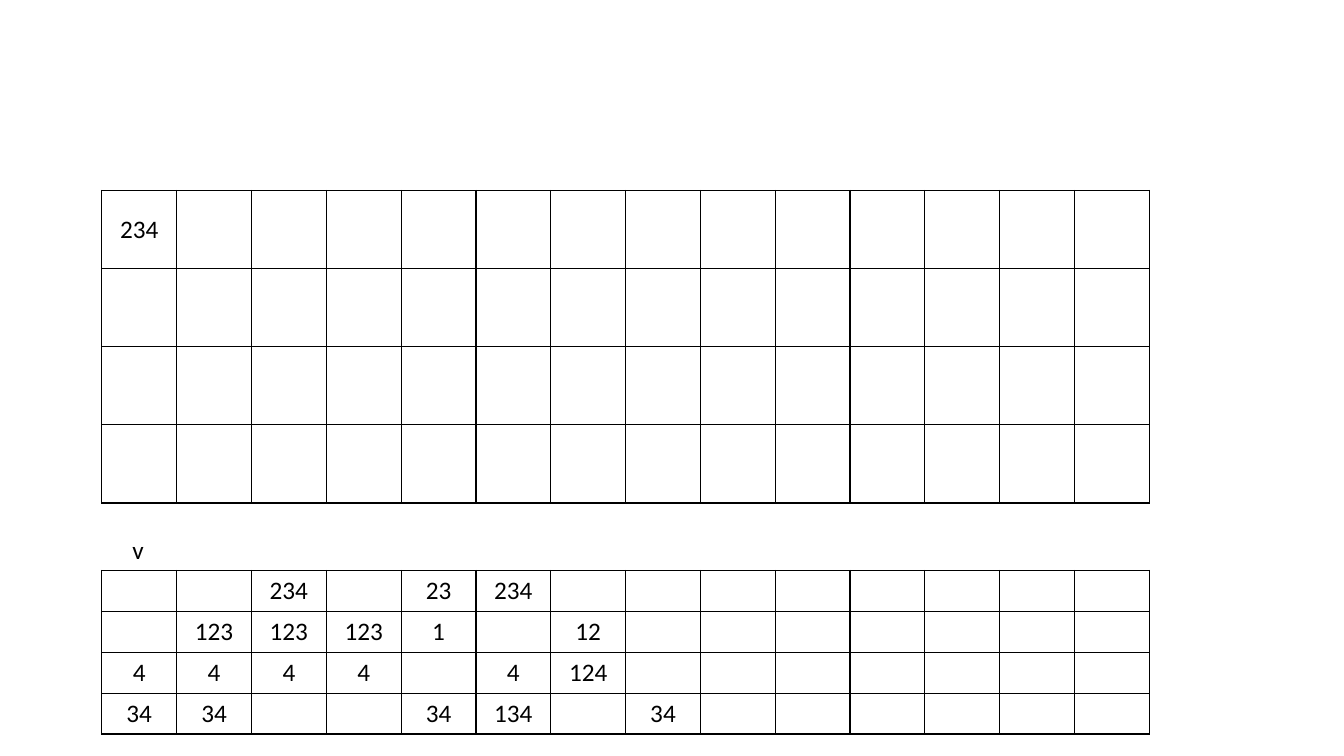
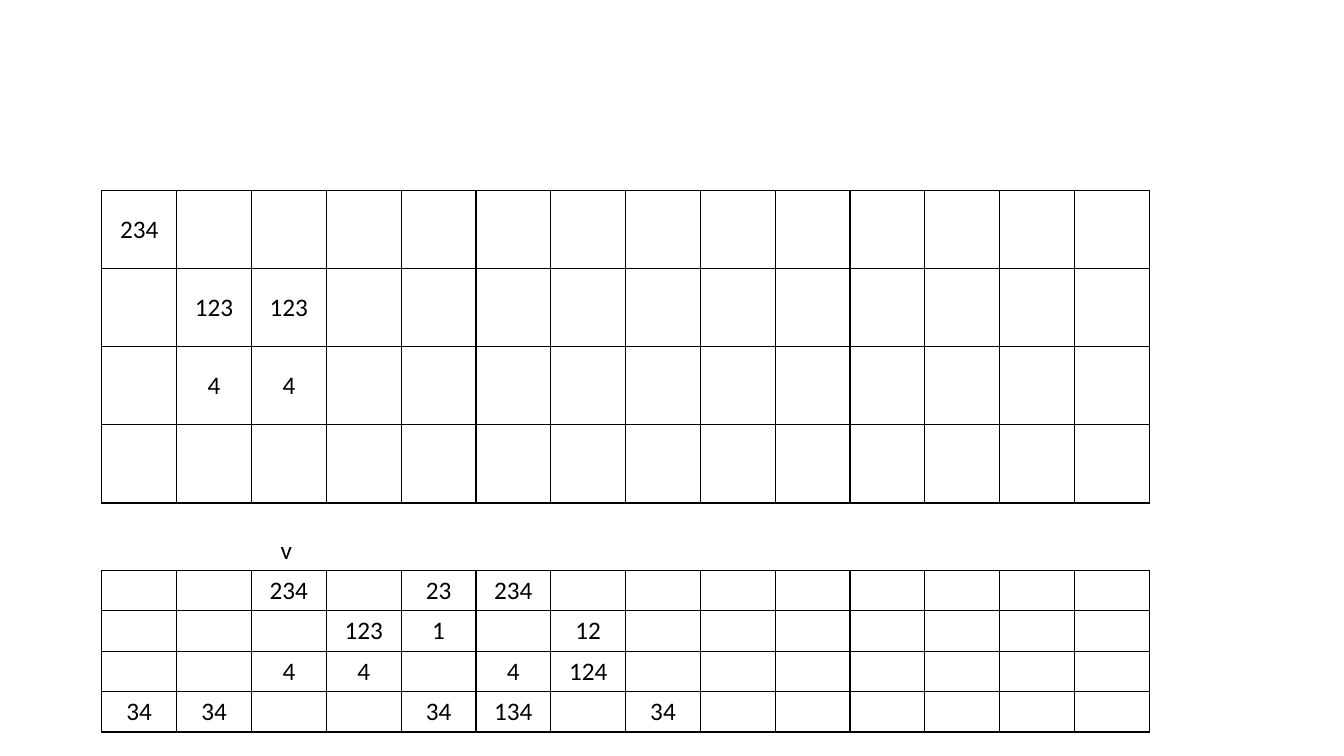
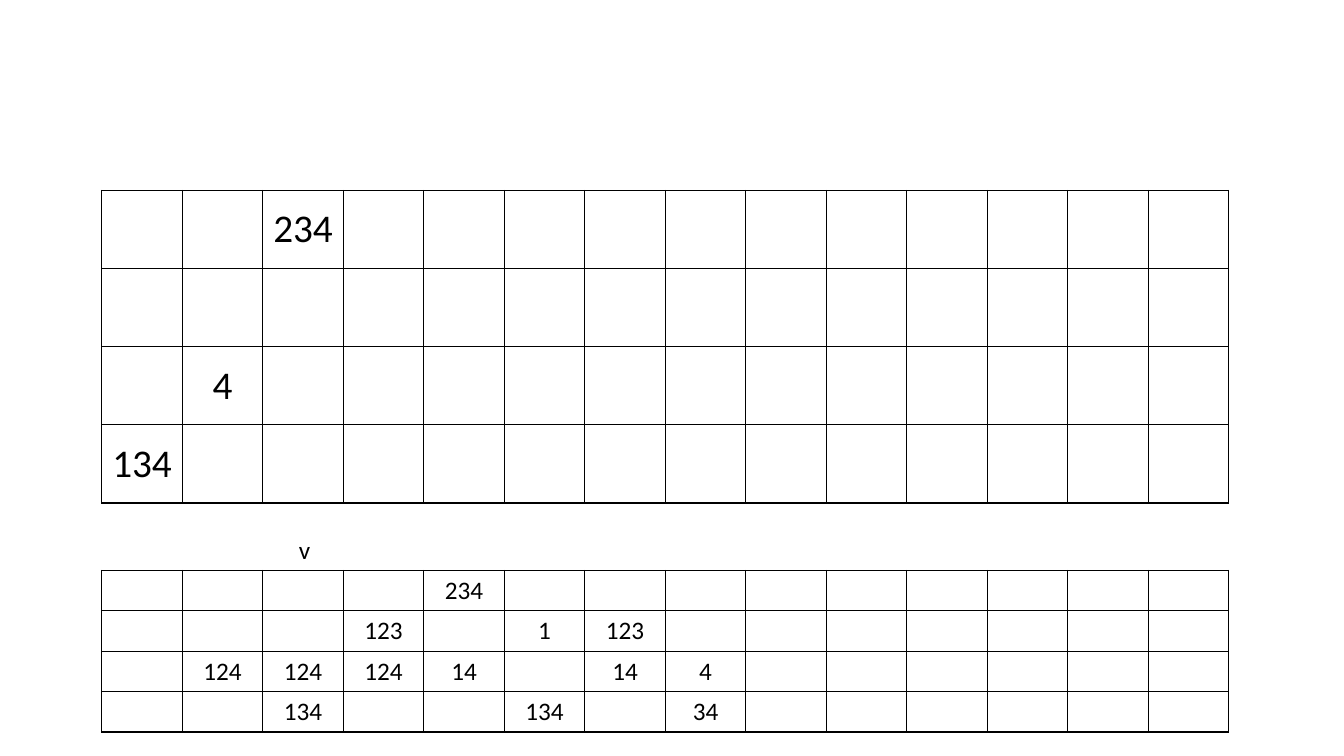
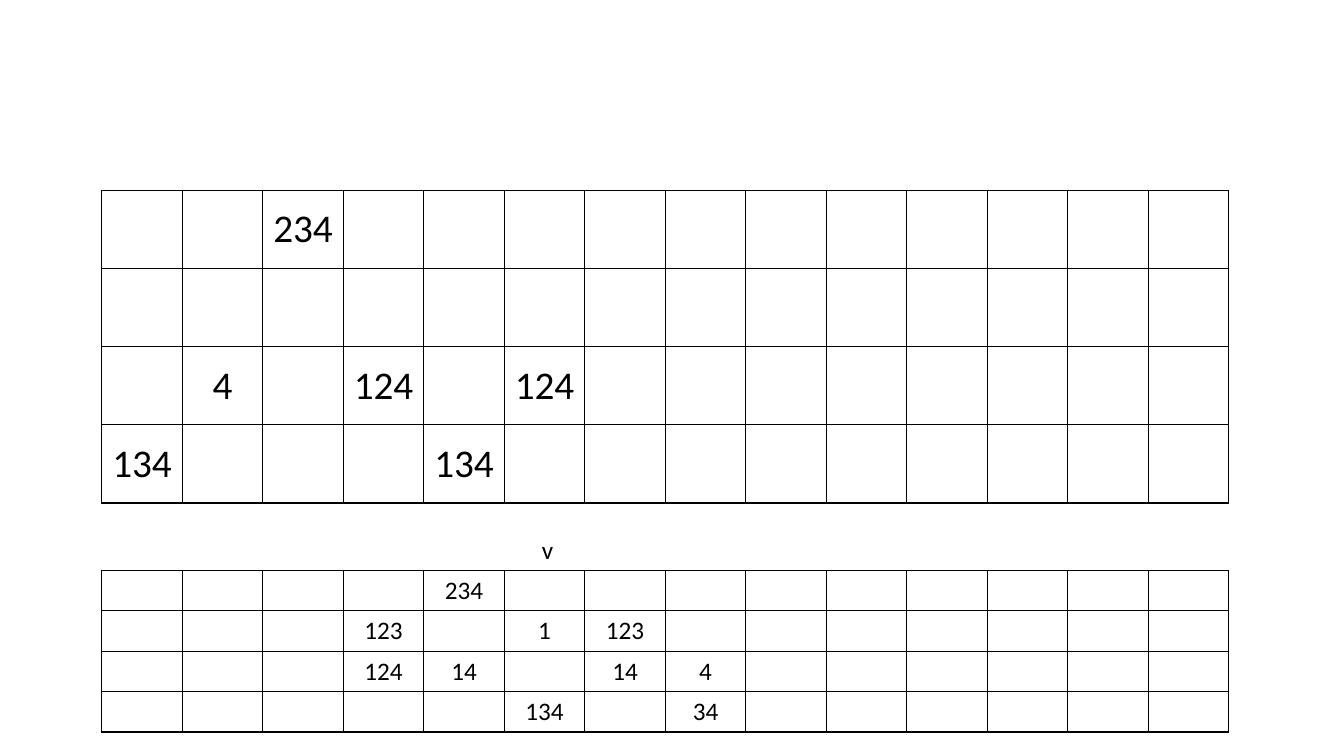
from lxml import etree
from pptx import Presentation
from pptx.dml.color import RGBColor
from pptx.enum.text import MSO_ANCHOR as ANCHOR, MSO_AUTO_SIZE as AUTO, PP_ALIGN as ALIGN
from pptx.oxml.ns import qn
from pptx.util import Inches, Pt

COLORS = {"ink": "000000", "paper": "FFFFFF"}
FONT = "Calibri"
COLS, ROWS = 14, 4
LEFT = 1.01
NARROW, WIDE = 10.39, 11.18


def add_text(p, text, size):
    p.alignment = ALIGN.CENTER
    r = p.add_run()
    r.text = text
    r.font.size = Pt(size)
    r.font.name = FONT
    r.font.color.rgb = RGBColor.from_string(COLORS["ink"])


def add_grid(s, top, width, row_height, size, values):
    frame = s.shapes.add_table(ROWS, COLS, Inches(LEFT), Inches(top),
                               Inches(width), Inches(row_height * ROWS))
    table = frame.table
    table.first_row = False
    table.horz_banding = False
    for column in table.columns:
        column.width = Inches(width / COLS)
    for i, line in enumerate(values):
        words = line.split()
        for j in range(COLS):
            cell = table.cell(i, j)
            cell.vertical_anchor = ANCHOR.MIDDLE
            cell.margin_left = cell.margin_right = Inches(0.05)
            if j < len(words) and words[j] != ".":
                add_text(cell.text_frame.paragraphs[0], words[j], size)
            tcPr = cell._tc.get_or_add_tcPr()
            for edge in ("a:lnL", "a:lnR", "a:lnT", "a:lnB"):
                ln = etree.SubElement(tcPr, qn(edge), w=str(Pt(1)))
                solid = etree.SubElement(ln, qn("a:solidFill"))
                etree.SubElement(solid, qn("a:srgbClr"), val=COLORS["ink"])
            cell.fill.background()


steps = [
    {
        "width": NARROW, "size": 18, "marker": 1.21,
        "placed": ["234", "", "", ""],
        "waiting": [". . 234 . 23 234",
                    ". 123 123 123 1 . 12",
                    "4 4 4 4 . 4 124",
                    "34 34 . . 34 134 . 34"],
    },
    {
        "width": NARROW, "size": 18, "marker": 2.68,
        "placed": ["234", ". 123 123", ". 4 4", ""],
        "waiting": [". . 234 . 23 234",
                    ". . . 123 1 . 12",
                    ". . 4 4 . 4 124",
                    "34 34 . . 34 134 . 34"],
    },
    {
        "width": WIDE, "size": 28, "marker": 2.86,
        "placed": [". . 234", "", ". 4", "134"],
        "waiting": [". . . . 234",
                    ". . . 123 . 1 123",
                    ". 124 124 124 14 . 14 4",
                    ". . 134 . . 134 . 34"],
    },
    {
        "width": WIDE, "size": 28, "marker": 5.27,
        "placed": [". . 234", "", ". 4 . 124 . 124", "134 . . . 134"],
        "waiting": [". . . . 234",
                    ". . . 123 . 1 123",
                    ". . . 124 14 . 14 4",
                    ". . . . . 134 . 34"],
    },
]

prs = Presentation()
prs.slide_width = Inches(13.33)
prs.slide_height = Inches(7.5)
background = prs.slide_master.background.fill
background.solid()
background.fore_color.rgb = RGBColor.from_string(COLORS["paper"])
blank = prs.slide_layouts[6]

for step in steps:
    s = prs.slides.add_slide(blank)
    add_grid(s, 1.89, step["width"], 0.775, step["size"], step["placed"])
    add_grid(s, 5.66, step["width"], 0.4, 18, step["waiting"])
    sp = s.shapes.add_textbox(Inches(step["marker"]), Inches(5.25), Inches(0.32), Inches(0.4))
    tf = sp.text_frame
    tf.word_wrap = False
    tf.auto_size = AUTO.SHAPE_TO_FIT_TEXT
    add_text(tf.paragraphs[0], "v", 18)

prs.save("out.pptx")
